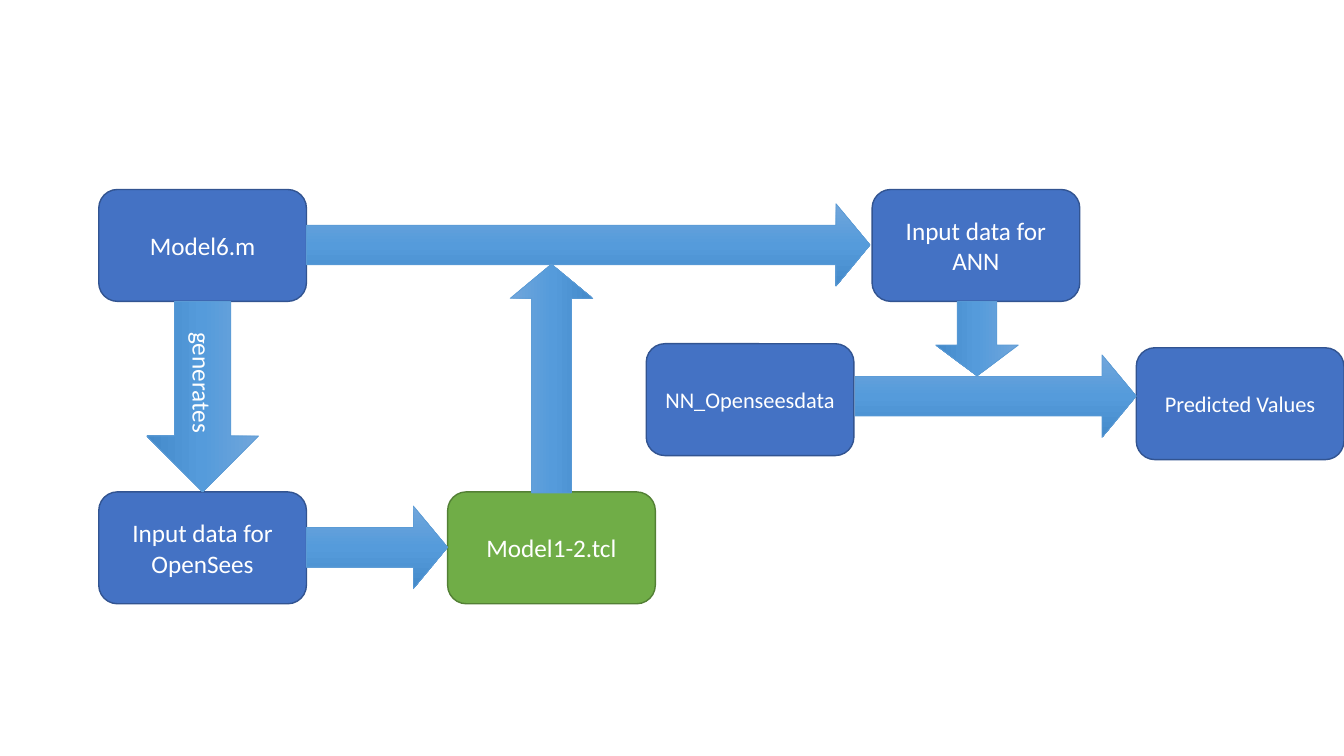
from copy import deepcopy
from math import atan2, degrees, hypot

from pptx import Presentation
from pptx.dml.color import RGBColor
from pptx.enum.shapes import MSO_SHAPE
from pptx.enum.text import MSO_ANCHOR, PP_ALIGN
from pptx.util import Inches, Pt

# Content: label, left, top, text size, fill, outline
BLUE, GREEN = ("4472C4", "325491"), ("70AD47", "538035")
BOX_WIDTH, BOX_HEIGHT = 2.06, 1.11
BOXES = [
    ("Model6.m", 0.98, 1.88, 18, BLUE),
    ("Input data for OpenSees", 0.98, 4.88, 18, BLUE),
    ("Input data for ANN", 8.65, 1.88, 18, BLUE),
    ("NN_Openseesdata", 6.41, 3.41, 16, BLUE),
    ("Predicted Values", 11.27, 3.45, 16, BLUE),
    ("Model1-2.tcl", 4.44, 4.88, 18, GREEN),
]

# Arrows: tail, tip, thickness, (shaft, head) proportions, label
SLIM, WIDE = (0.82, (0.478, 0.414)), (1.11, (0.5, 0.5))
ARROWS = [
    ((2.01, 2.99), (2.01, 4.88), WIDE, "generates"),
    ((3.04, 2.43), (8.63, 2.43), SLIM, ""),
    ((8.48, 3.93), (11.27, 3.93), SLIM, ""),
    ((9.69, 2.99), (9.69, 3.73), SLIM, ""),
    ((3.04, 5.43), (4.44, 5.43), SLIM, ""),
    ((5.47, 4.89), (5.47, 2.62), SLIM, ""),
]
GRADIENT = ["71A6DB", "559BDB", "448ACA"]
ARROW_LINE = "5B9BD5"


def color(value):
    return RGBColor.from_string(value)


def add_shape(kind, left, top, width, height, outline, line_width):
    shape = page.shapes.add_shape(
        kind, Inches(left), Inches(top), Inches(width), Inches(height))
    shape.shadow.inherit = False
    shape.line.color.rgb = color(outline)
    shape.line.width = Pt(line_width)
    return shape


def write(shape, text, size):
    frame = shape.text_frame
    frame.text = text
    frame.word_wrap = True
    frame.vertical_anchor = MSO_ANCHOR.MIDDLE
    para = frame.paragraphs[0]
    para.alignment = PP_ALIGN.CENTER
    for span in para.runs:
        span.font.name = "Calibri"
        span.font.size = Pt(size)
        span.font.color.rgb = color("FFFFFF")


def fill_gradient(fill, shades):
    fill.gradient()
    fill.gradient_angle = 270  # counter-clockwise: light at the top
    first = fill.gradient_stops[0]._gs
    first.addnext(deepcopy(first))
    for index, stop in enumerate(fill.gradient_stops):
        stop.color.rgb = color(shades[index])
        stop.position = index / (len(shades) - 1)


deck = Presentation()
deck.slide_width, deck.slide_height = Inches(13.33), Inches(7.5)
page = deck.slides.add_slide(deck.slide_layouts[6])

# Boxes
for label, left, top, size, (fill, outline) in BOXES:
    box = add_shape(MSO_SHAPE.ROUNDED_RECTANGLE, left, top,
                    BOX_WIDTH, BOX_HEIGHT, outline, 1)
    box.fill.solid()
    box.fill.fore_color.rgb = color(fill)
    write(box, label, size)

# Arrows: laid out flat around their middle, then turned towards the tip
for (x1, y1), (x2, y2), (thickness, proportions), label in ARROWS:
    length = hypot(x2 - x1, y2 - y1)
    arrow = add_shape(MSO_SHAPE.RIGHT_ARROW, (x1 + x2 - length) / 2,
                      (y1 + y2 - thickness) / 2, length, thickness,
                      ARROW_LINE, 0.5)
    arrow.rotation = degrees(atan2(y2 - y1, x2 - x1)) % 360
    for index, proportion in enumerate(proportions):
        arrow.adjustments[index] = proportion
    fill_gradient(arrow.fill, GRADIENT)
    if label:
        write(arrow, label, 18)

deck.save("out.pptx")
